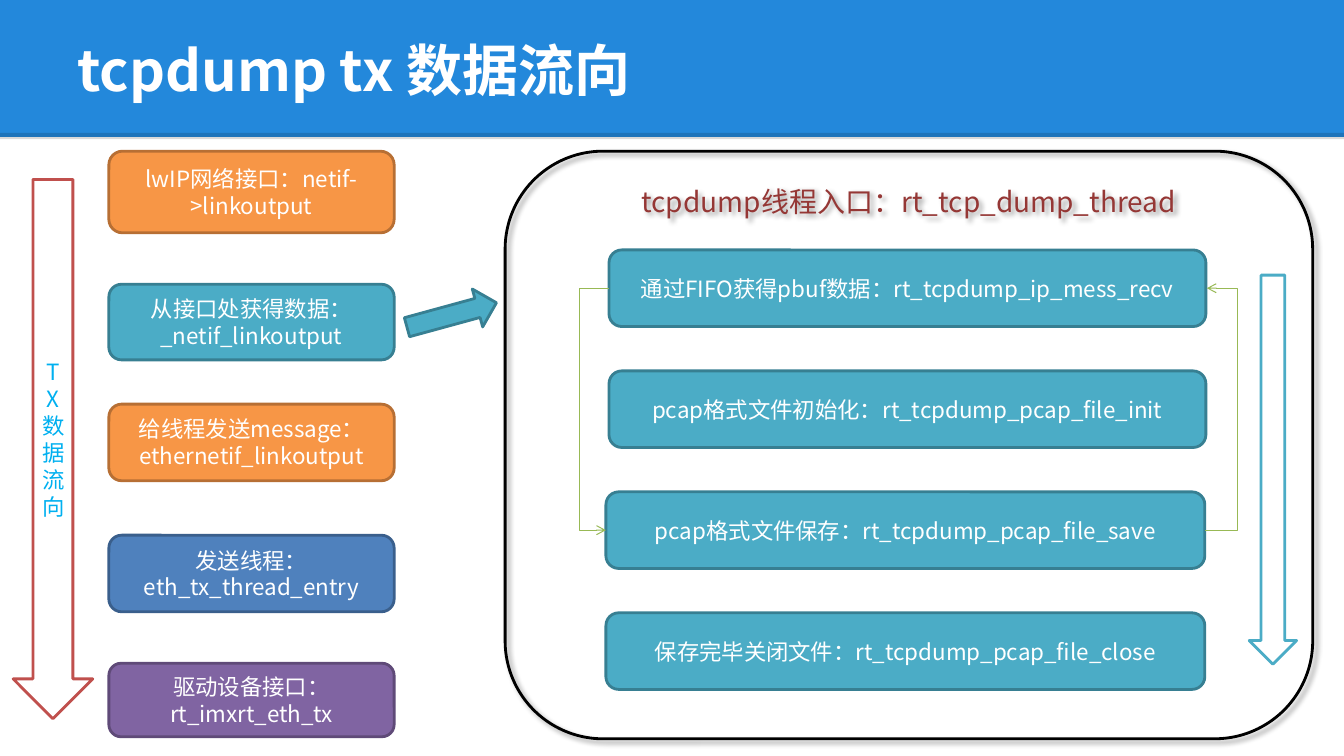
"""Build the slide on the tcpdump tx data flow."""
import pptx
import pptx.dml.color
import pptx.enum.shapes
import pptx.enum.text
import pptx.oxml
import pptx.oxml.ns
import pptx.util

Inches, Pt = pptx.util.Inches, pptx.util.Pt
RGB = pptx.dml.color.RGBColor.from_string
KIND = pptx.enum.shapes.MSO_SHAPE
LINK = pptx.enum.shapes.MSO_CONNECTOR
ALIGN = pptx.enum.text.PP_ALIGN
MIDDLE = pptx.enum.text.MSO_ANCHOR.MIDDLE
FACE = "Noto Sans CJK SC"
NS = pptx.oxml.ns.nsdecls("a")
COLORS = {
    "band": "2388DB", "white": "FFFFFF", "black": "000000",
    "teal": "4BACC6", "teal rim": "377F92",
    "orange": "F79646", "orange rim": "B76F34",
    "blue": "4F81BD", "blue rim": "3A5F8C",
    "purple": "8064A2", "purple rim": "5F4A78",
    "red": "C0504D", "maroon": "953735", "sky": "00B0F0", "green": "98B955",
}


def write(shape, text, size, color, align=ALIGN.CENTER, bold=False):
    frame = shape.text_frame
    frame.word_wrap = True
    para = frame.paragraphs[0]
    para.text = text
    para.alignment = align
    font = para.font
    font.size, font.bold, font.name = Pt(size), bold, FACE
    font.color.rgb = RGB(COLORS[color])
    font._rPr.append(pptx.oxml.parse_xml(f'<a:ea {NS} typeface="{FACE}"/>'))


def draw(kind, left, top, width, height, fill=None, line=None):
    shape = slide.shapes.add_shape(
        kind, Inches(left), Inches(top), Inches(width), Inches(height))
    shape.shadow.inherit = False
    if fill:
        shape.fill.solid()
        shape.fill.fore_color.rgb = RGB(COLORS[fill])
    else:
        shape.fill.background()
    if line:
        shape.line.color.rgb = RGB(COLORS[line])
        shape.line.width = Pt(2)
    else:
        shape.line.fill.background()
    shape.text_frame.vertical_anchor = MIDDLE
    return shape


deck = pptx.Presentation()
deck.slide_width, deck.slide_height = Inches(13.33), Inches(7.5)
slide = deck.slides.add_slide(deck.slide_layouts[6])

draw(KIND.RECTANGLE, 0, 0, 13.33, 1.36, "band")
rule = slide.shapes.add_connector(
    LINK.STRAIGHT, 0, Inches(1.35), Inches(13.33), Inches(1.35))
rule.line.color.rgb = RGB(COLORS["black"])
rule.line.width = Pt(4.5)
rule.line.color._xFill.srgbClr.append(
    pptx.oxml.parse_xml(f'<a:alpha {NS} val="15000"/>'))
rule._element.spPr.append(pptx.oxml.parse_xml(f"<a:effectLst {NS}/>"))

title = slide.shapes.add_textbox(
    Inches(0.67), Inches(0.06), Inches(12), Inches(1.25))
title.text_frame.vertical_anchor = MIDDLE
write(title, "tcpdump tx 数据流向", 40, "white", ALIGN.LEFT, True)

panel = draw(KIND.ROUNDED_RECTANGLE, 5.01, 1.5, 8.01, 5.83, None, "black")
panel.text_frame.vertical_anchor = pptx.enum.text.MSO_ANCHOR.TOP
write(panel, "tcpdump线程入口：rt_tcp_dump_thread", 20, "maroon")
panel._element.spPr.find(pptx.oxml.ns.qn("a:effectLst")).append(
    pptx.oxml.parse_xml(
        f'<a:outerShdw {NS} blurRad="{Pt(4)}" dist="{Pt(3)}" dir="2700000">'
        f'<a:srgbClr val="{COLORS["black"]}"><a:alpha val="40000"/></a:srgbClr>'
        '</a:outerShdw>'))

stages = [
    (1.5, 0.81, "orange", "lwIP网络接口：netif->linkoutput"),
    (2.82, 0.75, "teal", "从接口处获得数据：_netif_linkoutput"),
    (4.01, 0.76, "orange", "给线程发送message：ethernetif_linkoutput"),
    (5.31, 0.76, "blue", "发送线程：eth_tx_thread_entry"),
    (6.58, 0.73, "purple", "驱动设备接口：rt_imxrt_eth_tx"),
]
for top, height, color, text in stages:
    box = draw(KIND.ROUNDED_RECTANGLE, 1.08, top, 2.83, height,
               color, color + " rim")
    write(box, text, 16, "white")

steps = [
    (6.04, 5.92, "通过FIFO获得pbuf数据：rt_tcpdump_ip_mess_recv"),
    (6.04, 5.92, "pcap格式文件初始化：rt_tcpdump_pcap_file_init"),
    (6.01, 5.94, "pcap格式文件保存：rt_tcpdump_pcap_file_save"),
    (6.01, 5.94, "保存完毕关闭文件：rt_tcpdump_pcap_file_close"),
]
for row, (left, width, text) in enumerate(steps):
    box = draw(KIND.ROUNDED_RECTANGLE, left, 2.48 + 1.2 * row, width, 0.76,
               "teal", "teal rim")
    write(box, text, 16, "white")

loops = [(11.95, 5.26, 11.97, 2.86, 12.27), (6.04, 2.86, 6.01, 5.26, 5.75)]
for left, top, right, low, turn in loops:
    link = slide.shapes.add_connector(
        LINK.ELBOW, Inches(left), Inches(top), Inches(right), Inches(low))
    link.line.color.rgb = RGB(COLORS["green"])
    link.line.width = Pt(0.75)
    link.line._get_or_add_ln().append(
        pptx.oxml.parse_xml(f'<a:tailEnd {NS} type="arrow"/>'))
    props = link._element.spPr
    props.append(pptx.oxml.parse_xml(f"<a:effectLst {NS}/>"))
    bend = round((turn - left) / (right - left) * 100000)
    props.find(".//" + pptx.oxml.ns.qn("a:avLst")).append(
        pptx.oxml.parse_xml(f'<a:gd {NS} name="adj1" fmla="val {bend}"/>'))

hop = draw(KIND.RIGHT_ARROW, 4.02, 2.93, 0.92, 0.39, "teal", "teal rim")
hop.rotation = 344.7
flow = draw(KIND.DOWN_ARROW, 0.13, 1.78, 0.79, 5.35, "white", "red")
write(flow, "TX数据流向", 16, "sky")
flow.text_frame._txBody.bodyPr.set("vert", "wordArtVertRtl")
draw(KIND.DOWN_ARROW, 12.39, 2.73, 0.47, 3.86, "white", "teal")

deck.save("out.pptx")
